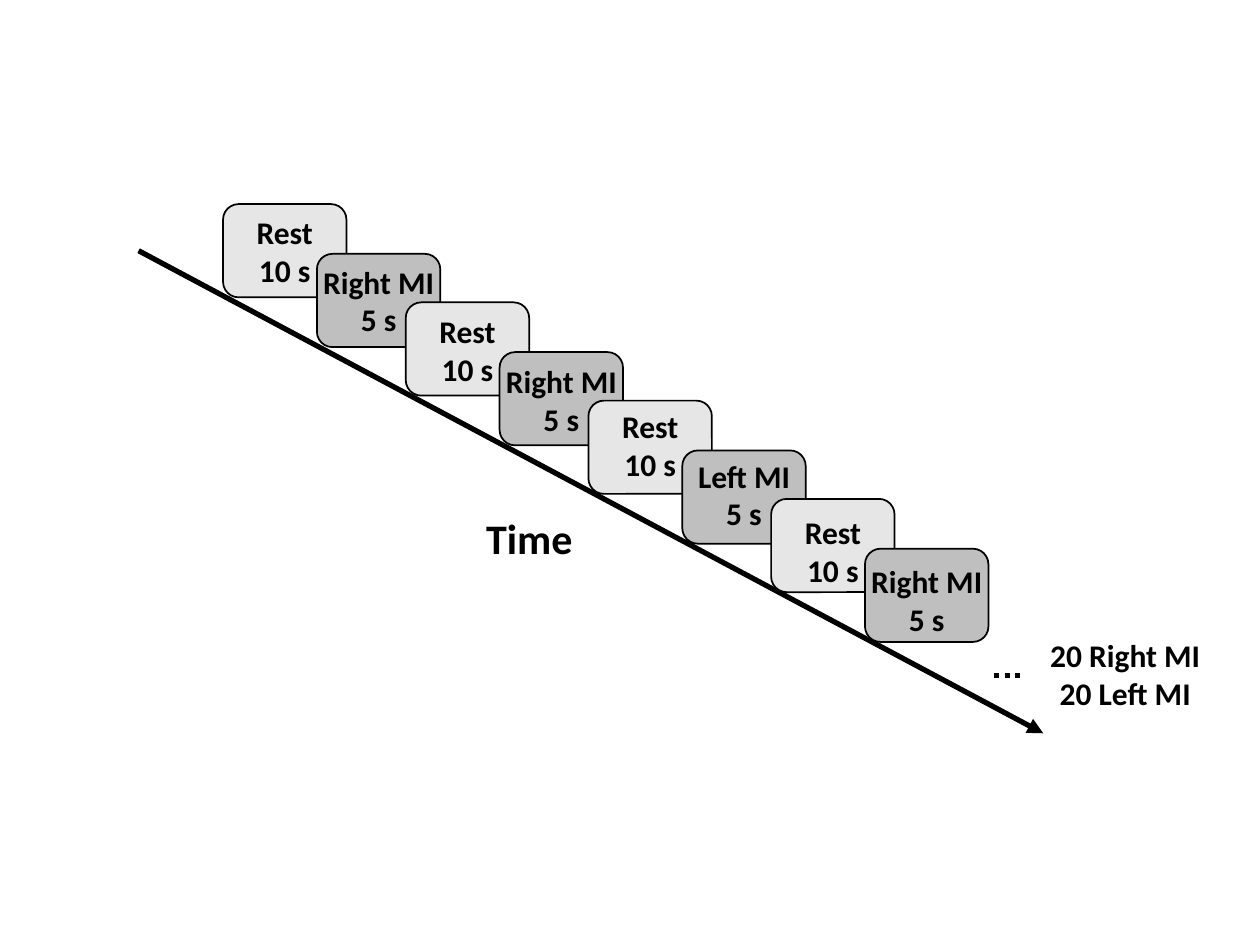
from lxml import etree
from pptx import Presentation
from pptx.dml.color import RGBColor
from pptx.enum.dml import MSO_LINE
from pptx.enum.shapes import MSO_CONNECTOR, MSO_SHAPE
from pptx.enum.text import MSO_AUTO_SIZE, PP_ALIGN
from pptx.oxml.ns import qn
from pptx.util import Inches, Pt

CARD = MSO_SHAPE.FLOWCHART_ALTERNATE_PROCESS
LINE = MSO_CONNECTOR.STRAIGHT
DOTS = MSO_LINE.ROUND_DOT
GROW = MSO_AUTO_SIZE.SHAPE_TO_FIT_TEXT
LEFT, MID = PP_ALIGN.LEFT, PP_ALIGN.CENTER
HUES = {name: RGBColor.from_string(code) for name, code in {
    "ink": "000000", "rest": "E7E6E6", "task": "BFBFBF"}.items()}

deck = Presentation()
deck.slide_width, deck.slide_height = Inches(10), Inches(7.5)
slide = deck.slides.add_slide(deck.slide_layouts[6])
COL, ROW = deck.slide_width / 100, deck.slide_height / 75


def grid(x, y, *size):
    return [round(n * unit) for n, unit in zip((x, y, *size), (COL, ROW) * 2)]


def write(text, x, y, high=7.1, size=18, align=MID):
    box = slide.shapes.add_textbox(*grid(x, y, 14.2, high))
    frame = box.text_frame
    frame.word_wrap = True
    frame.auto_size = GROW
    frame.text = text
    for para in frame.paragraphs:
        para.alignment = align
        font = para.runs[0].font
        font.name, font.size, font.bold = "Calibri", Pt(size), True
        font.color.rgb = HUES["ink"]


rules = []
for start, end in [((11, 19.9), (82.8, 58.2)), ((78.9, 53.6), (81.1, 53.6))]:
    rule = slide.shapes.add_connector(LINE, *grid(*start), *grid(*end))
    rule.line.color.rgb = HUES["ink"]
    rule.line.width = Pt(3)
    etree.SubElement(rule.element.spPr, qn("a:effectLst"))
    rules.append(rule)
axis, more = rules
more.line.dash_style = DOTS
etree.SubElement(axis.line._get_or_add_ln(), qn("a:tailEnd"), type="triangle")

write("Time", 37.6, 40.2, high=5, size=24, align=LEFT)

tasks = ["Right MI", "Right MI", "Left MI", "Right MI"]
drops = [0.2, 0.3, 0, 0.6]
steps = []
for pair, (task, drop) in enumerate(zip(tasks, drops)):
    x, y = 17.7 + 14.5 * pair, 16.2 + 7.8 * pair
    steps.append(("rest", "Rest\n10 s", x, y, drop))
    steps.append(("task", f"{task}\n5 s", x + 7.45, y + 3.95, drop))

for kind, text, x, y, drop in steps:
    card = slide.shapes.add_shape(CARD, *grid(x, y, 9.8, 7.4))
    card.shadow.inherit = False
    card.fill.solid()
    card.fill.fore_color.rgb = HUES[kind]
    card.line.color.rgb = HUES["ink"]
    card.line.width = Pt(1)

for kind, text, x, y, drop in steps:
    write(text, x - 2.2, y + drop)

write("20 Right MI\n20 Left MI", 82.2, 50)

deck.save("out.pptx")
